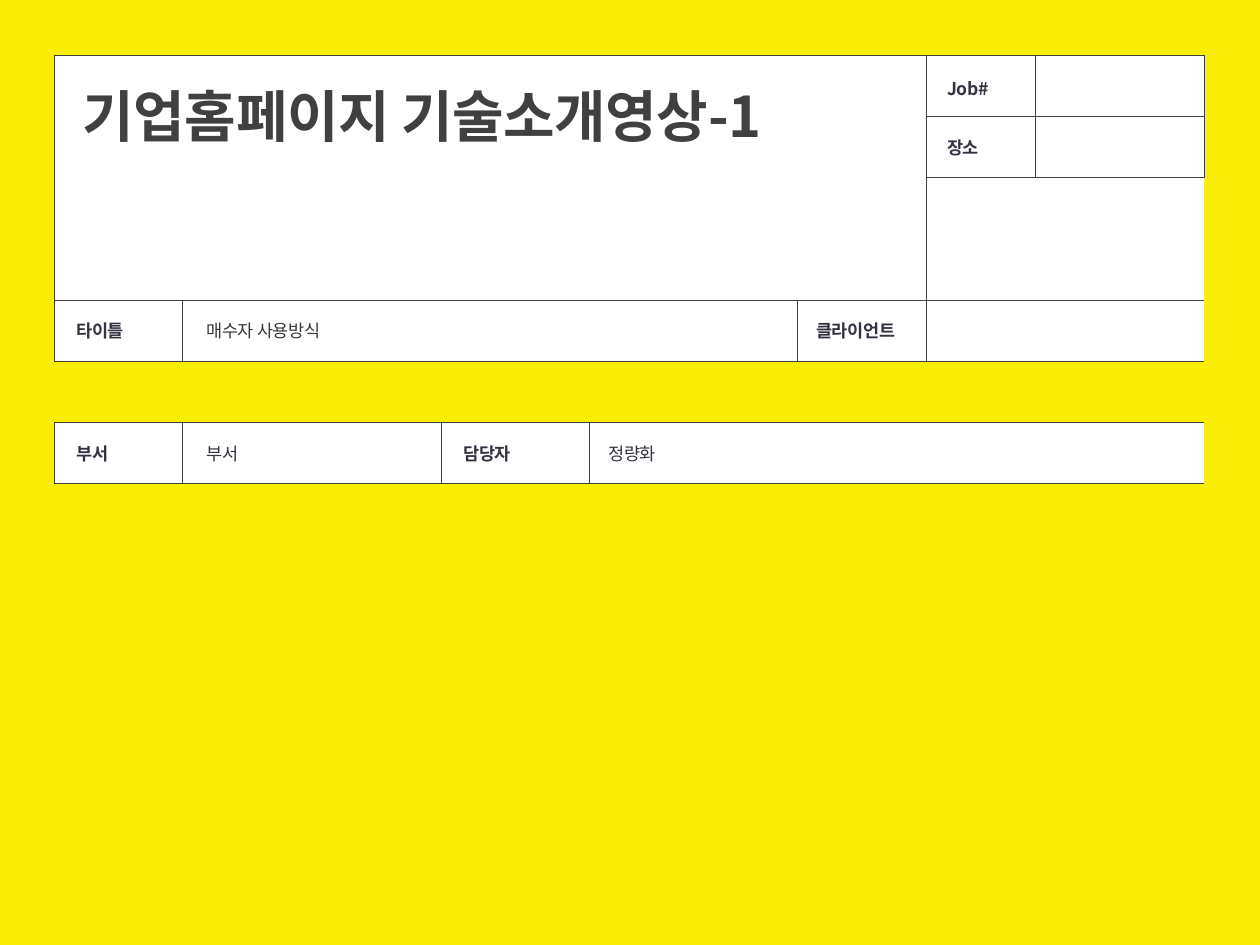
from lxml.etree import SubElement
from pptx import Presentation
from pptx.dml.color import RGBColor
from pptx.enum.shapes import MSO_SHAPE
from pptx.enum.text import MSO_AUTO_SIZE
from pptx.oxml.ns import qn
from pptx.util import Inches, Pt

YELLOW = RGBColor(0xFA, 0xEE, 0x06)
WHITE = RGBColor(0xFF, 0xFF, 0xFF)
GREY = RGBColor(0x40, 0x40, 0x40)
NAVY = RGBColor(0x32, 0x33, 0x41)
CHARCOAL = RGBColor(0x38, 0x38, 0x38)

COLUMN_WIDTHS = [1.02, 2.05, 1.18, 1.65, 1.02, 0.87, 1.34]
ROW_UNITS = [1, 1, 2, 1, 1, 1]
TABLE_LEFT, TABLE_TOP, TABLE_HEIGHT = 0.43, 0.44, 3.4
GAP_ROW = 4

# first row, first column, last row, last column
REGIONS = [
    (0, 0, 2, 4), (0, 5, 0, 5), (0, 6, 0, 6),
    (1, 5, 1, 5), (1, 6, 1, 6), (2, 5, 2, 6),
    (3, 0, 3, 0), (3, 1, 3, 3), (3, 4, 3, 4), (3, 5, 3, 6),
    (GAP_ROW, 0, GAP_ROW, 6),
    (5, 0, 5, 0), (5, 1, 5, 1), (5, 2, 5, 2), (5, 3, 5, 6),
]

LABELS = [
    ("장소", 7.42, 1.04, 0.63),
    ("Job#", 7.42, 0.57, 0.63),
    ("타이틀", 0.51, 2.49, 0.63),
    ("클라이언트", 6.38, 2.49, 0.94),
    ("부서", 0.51, 3.47, 0.63),
    ("담당자", 3.58, 3.47, 0.63),
]
VALUES = [
    ("매수자 사용방식", 1.54, 2.49, 1.16, CHARCOAL),
    ("부서", 1.54, 3.47, 0.46, NAVY),
    ("정량화", 4.73, 3.47, 0.61, NAVY),
]


class FormSlide:
    typeface = "Noto Sans CJK KR"
    border_color = GREY
    border_width = Pt(0.5)

    def __init__(self, slide):
        self.slide = slide

    def panel(self, left, top, width, height, color):
        panel = self.slide.shapes.add_shape(
            MSO_SHAPE.RECTANGLE, *map(Inches, (left, top, width, height)))
        panel.shadow.inherit = False
        panel.fill.solid()
        panel.fill.fore_color.rgb = color
        panel.line.fill.background()

    def text(self, wording, left, top, width, height=0.27, size=10,
             color=NAVY, bold=False, wrap=True, spacing=-0.2):
        box = self.slide.shapes.add_textbox(
            *map(Inches, (left, top, width, height)))
        frame = box.text_frame
        frame.word_wrap = wrap
        frame.auto_size = MSO_AUTO_SIZE.SHAPE_TO_FIT_TEXT
        run = frame.paragraphs[0].add_run()
        run.text = wording
        run.font.color.rgb = color
        styles = {"size": Pt(size), "bold": bold, "name": self.typeface}
        for attribute, value in styles.items():
            setattr(run.font, attribute, value)
        properties = run.font._element
        properties.set("spc", str(round(spacing * 100)))
        SubElement(properties, qn("a:ea"), typeface=self.typeface)

    def border(self, cell, side, drawn):
        line = SubElement(cell._tc.get_or_add_tcPr(), qn(f"a:ln{side}"),
                          w=str(self.border_width))
        if drawn:
            fill = SubElement(line, qn("a:solidFill"))
            SubElement(fill, qn("a:srgbClr"), val=str(self.border_color))
        else:
            SubElement(line, qn("a:noFill"))

    def table(self, left, top, height, widths, row_units, regions):
        form = self.slide.shapes.add_table(
            len(row_units), len(widths), Inches(left), Inches(top),
            Inches(sum(widths)), Inches(height)).table
        form.first_row = form.horz_banding = False
        for column, width in zip(form.columns, widths):
            column.width = Inches(width)
        for row, units in zip(form.rows, row_units):
            row.height = Inches(height * units / sum(row_units))
        for region in regions:
            self.region(form, *region)

    def region(self, form, first_row, first_col, last_row, last_col):
        """Merge, outline and fill one block of cells."""
        is_gap = first_row == GAP_ROW
        for row in range(first_row, last_row + 1):
            for col in range(first_col, last_col + 1):
                cell = form.cell(row, col)
                cell.margin_top = cell.margin_bottom = 0
                edges = {
                    "L": col == first_col and not is_gap,
                    "R": col == last_col and not is_gap,
                    "T": row == first_row,
                    "B": row == last_row,
                }
                for side, drawn in edges.items():
                    self.border(cell, side, drawn)
                cell.fill.solid()
                cell.fill.fore_color.rgb = YELLOW if is_gap else WHITE
        if (first_row, first_col) != (last_row, last_col):
            form.cell(first_row, first_col).merge(
                form.cell(last_row, last_col))


def main():
    deck = Presentation()
    deck.slide_width, deck.slide_height = Inches(10), Inches(7.5)
    form = FormSlide(deck.slides.add_slide(deck.slide_layouts[6]))
    form.panel(0, 0, 10, 7.5, YELLOW)
    form.table(TABLE_LEFT, TABLE_TOP, TABLE_HEIGHT,
               COLUMN_WIDTHS, ROW_UNITS, REGIONS)
    form.text("기업홈페이지 기술소개영상-1", 0.56, 0.6, 6.36, 0.64,
              size=32, color=GREY, bold=True, spacing=-0.3)
    for wording, left, top, width in LABELS:
        form.text(wording, left, top, width, bold=True)
    for wording, left, top, width, color in VALUES:
        form.text(wording, left, top, width, color=color, wrap=False)
    deck.save("out.pptx")


if __name__ == "__main__":
    main()
